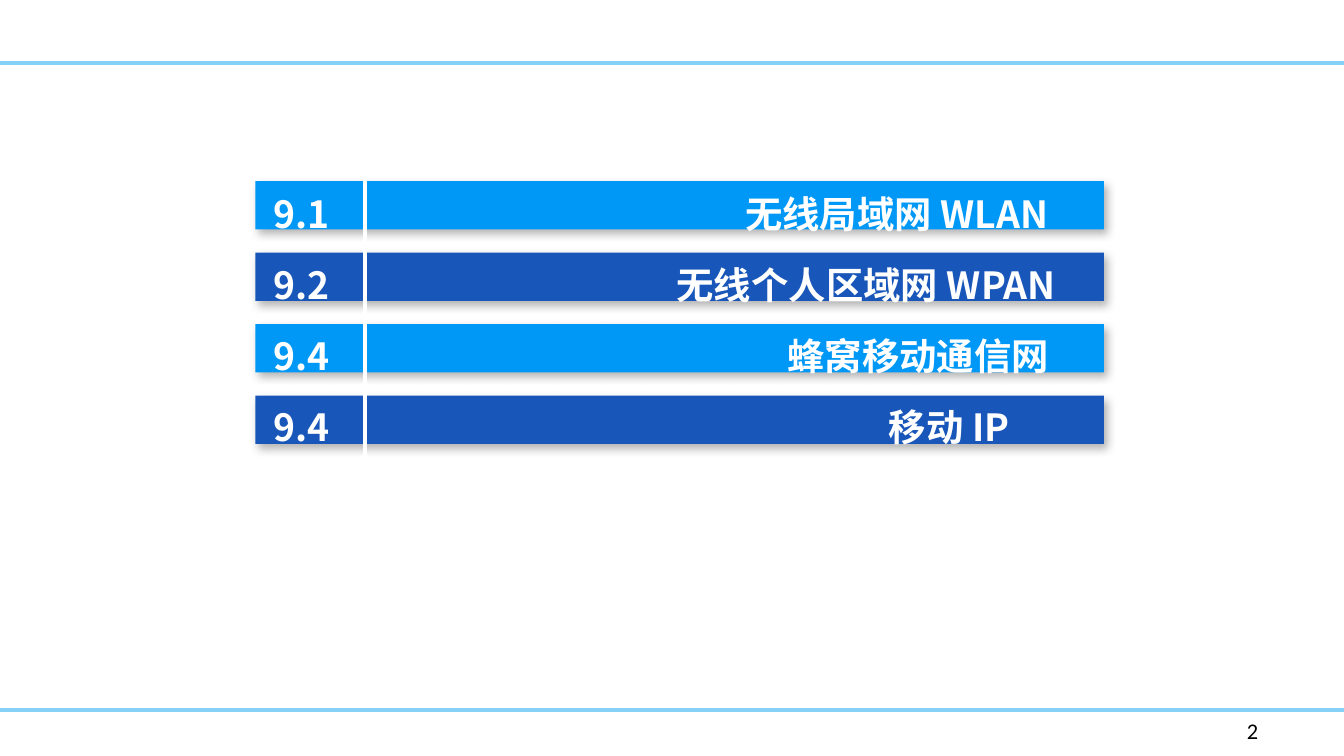
from dataclasses import dataclass

import lxml.etree
import pptx
import pptx.dml.color
import pptx.enum.shapes
import pptx.enum.text
import pptx.oxml.ns
import pptx.util

qn = pptx.oxml.ns.qn


@dataclass(frozen=True)
class Theme:
    rule: str = "85D1F7"
    bars: tuple = ("0098F6", "1956B9")
    light: str = "FFFFFF"
    dark: str = "000000"
    heading_font: str = "Noto Sans CJK SC"
    number_font: str = "Calibri"
    heading_size: int = 20
    number_size: int = 12
    leading: int = 38


class Deck:
    """Draws on a square grid of 100 columns across a 16:9 slide."""

    def __init__(self, theme):
        self.theme = theme
        self.prs = pptx.Presentation()
        self.prs.slide_width = pptx.util.Inches(10)
        self.prs.slide_height = self.prs.slide_width * 9 // 16
        self.cell = self.prs.slide_width / 100
        self.s = self.prs.slides.add_slide(self.prs.slide_layouts[6])

    def grid(self, *lengths):
        return [pptx.util.Emu(round(n * self.cell)) for n in lengths]

    def color(self, value):
        return pptx.dml.color.RGBColor.from_string(value)

    def line(self, x1, y1, x2, y2, color, width):
        kind = pptx.enum.shapes.MSO_CONNECTOR.STRAIGHT
        sp = self.s.shapes.add_connector(kind, *self.grid(x1, y1, x2, y2))
        sp.line.color.rgb = self.color(color)
        sp.line.width = pptx.util.Pt(width)
        lxml.etree.SubElement(sp._element.spPr, qn("a:effectLst"))

    def bar(self, x, y, w, h, color):
        kind = pptx.enum.shapes.MSO_SHAPE.RECTANGLE
        sp = self.s.shapes.add_shape(kind, *self.grid(x, y, w, h))
        sp.fill.solid()
        sp.fill.fore_color.rgb = self.color(color)
        sp.line.fill.background()
        self.drop_shadow(sp)

    def drop_shadow(self, sp):
        sp.shadow.inherit = False
        effects = sp._element.spPr.find(qn("a:effectLst"))
        shadow = lxml.etree.SubElement(
            effects, qn("a:outerShdw"), blurRad=str(pptx.util.Pt(4.5)),
            dist=str(pptx.util.Pt(2.6)), dir=str(53 * 60000),
            algn="tl", rotWithShape="0")
        clr = lxml.etree.SubElement(shadow, qn("a:srgbClr"), val=self.theme.dark)
        lxml.etree.SubElement(clr, qn("a:alpha"), val="30000")

    def text(self, x, y, w, h, lines, font, size, color, bold=False,
             leading=None, tabs=None):
        """Each line may have its own tab stop, in columns from the text edge."""
        tf = self.s.shapes.add_textbox(*self.grid(x, y, w, h)).text_frame
        tf.word_wrap = True
        for i, line in enumerate(lines):
            p = tf.paragraphs[0] if i == 0 else tf.add_paragraph()
            p.text = line
            if leading:
                p.line_spacing = pptx.util.Pt(leading)
            if tabs:
                tab_list = lxml.etree.SubElement(
                    p._p.get_or_add_pPr(), qn("a:tabLst"))
                lxml.etree.SubElement(tab_list, qn("a:tab"), algn="l",
                                      pos=str(self.grid(tabs[i])[0]))
            for r in p.runs:
                r.font.name = font
                r.font.size = pptx.util.Pt(size)
                r.font.bold = bold
                r.font.color.rgb = self.color(color)
                lxml.etree.SubElement(r.font._element, qn("a:ea"), typeface=font)
        return tf


def main():
    theme = Theme()
    deck = Deck(theme)
    for y in (4.7, 52.83):
        deck.line(0, y, 100, y, theme.rule, 2)

    # number, section title, tab stop of the title
    sections = [
        ("9.1", "无线局域网 WLAN", 35.1),
        ("9.2", "无线个人区域网 WPAN", 30),
        ("9.4", "蜂窝移动通信网", 38.25),
        ("9.4", "移动 IP", 45.8),
    ]
    for i in range(len(sections)):
        deck.bar(19, 13.48 + 5.32 * i, 63.15, 3.6, theme.bars[i % 2])
    deck.line(27.17, 11.5, 27.17, 42.9, theme.light, 2.25)

    tf = deck.text(19.35, 11.8, 61.9, 22.3,
                   [f"{number}\t{title}" for number, title, _ in sections],
                   theme.heading_font, theme.heading_size, theme.light,
                   bold=True, leading=theme.leading,
                   tabs=[tab for _, _, tab in sections])
    tf.auto_size = pptx.enum.text.MSO_AUTO_SIZE.SHAPE_TO_FIT_TEXT
    deck.text(91.8, 52.85, 6.3, 3, ["2"],
              theme.number_font, theme.number_size, theme.dark)
    deck.prs.save("out.pptx")


if __name__ == "__main__":
    main()
